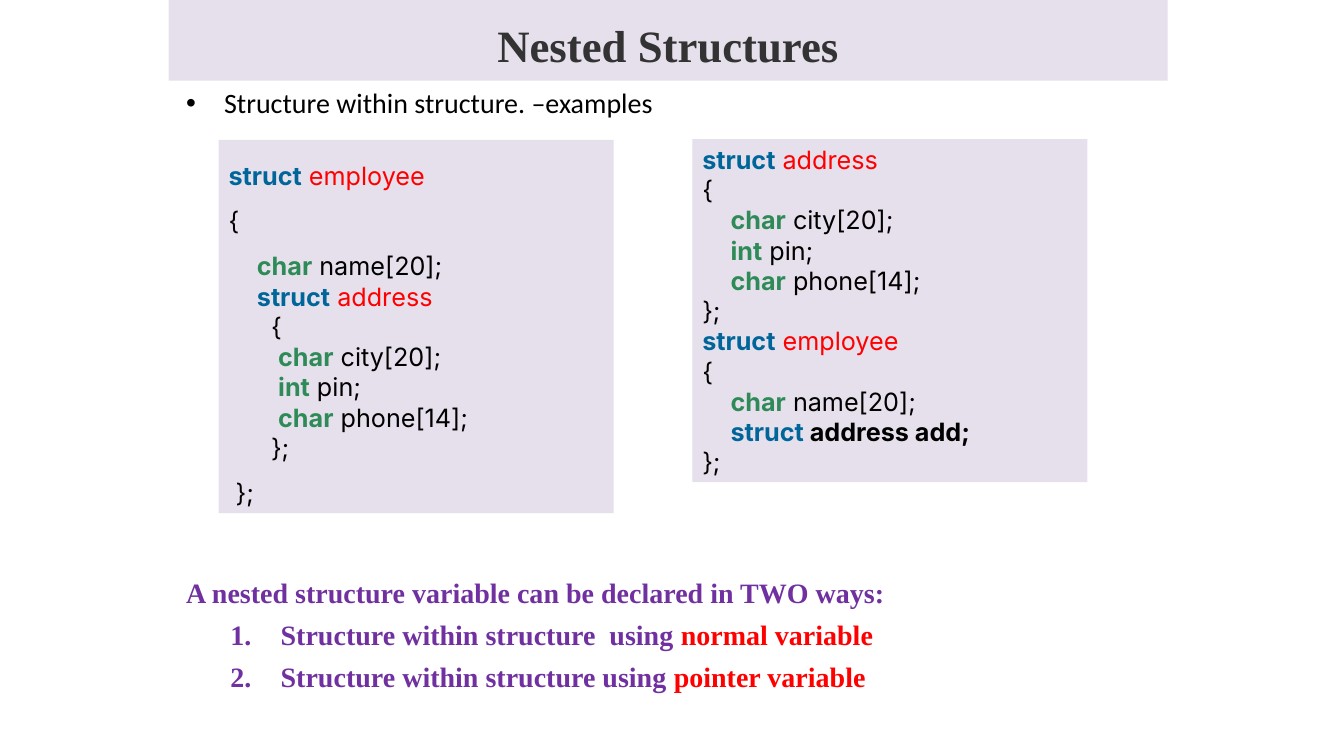
from lxml.etree import SubElement
from pptx import Presentation
from pptx.dml.color import RGBColor
from pptx.enum.shapes import MSO_SHAPE
from pptx.enum.text import MSO_ANCHOR, PP_ALIGN
from pptx.oxml.ns import qn
from pptx.util import Pt

LILAC = RGBColor(0xE6, 0xE0, 0xEC)
CHARCOAL = RGBColor(0x33, 0x33, 0x33)
BLACK = RGBColor(0x00, 0x00, 0x00)
RED = RGBColor(0xFF, 0x00, 0x00)
PURPLE = RGBColor(0x70, 0x30, 0xA0)
BLUE = RGBColor(0x00, 0x66, 0x99)
GREEN = RGBColor(0x2E, 0x8B, 0x57)

TITLE = {"name": "Times New Roman", "size": Pt(32), "bold": True}
INTRO = {"name": "Calibri", "size": Pt(20), "bold": False}
NOTE = {"name": "Times New Roman", "size": Pt(20), "bold": True}
CODE = {"name": "Inter", "size": Pt(18), "bold": False}
KEYWORDS = {"struct": BLUE, "char": GREEN, "int": GREEN}

# Each code line with its line spacing
EMPLOYEE_INLINE = [
    ("struct employee", 1.5),
    ("{", 1.5),
    ("    char name[20];", 1.5),
    ("    struct address", 1),
    ("      {", 1),
    ("       char city[20];", 1),
    ("       int pin;", 1),
    ("       char phone[14];", 1),
    ("      };", 1),
    (" };", 1.5),
]
ADDRESS_SEPARATE = [(line, 1) for line in (
    "struct address",
    "{",
    "    char city[20];",
    "    int pin;",
    "    char phone[14];",
    "};",
    "struct employee",
    "{",
    "    char name[20];",
    "    struct address add;",
    "};",
)]


def add_run(p, text, style, color, **changes):
    r = p.add_run()
    r.text = text
    for key, value in {**style, **changes}.items():
        setattr(r.font, key, value)
    r.font.color.rgb = color


def next_paragraph(tf):
    return tf.paragraphs[0] if not tf.paragraphs[0].runs else tf.add_paragraph()


def add_panel(s, left, top, width, height, anchor):
    sp = s.shapes.add_shape(MSO_SHAPE.RECTANGLE, Pt(left), Pt(top), Pt(width), Pt(height))
    sp.shadow.inherit = False
    sp.fill.solid()
    sp.fill.fore_color.rgb = LILAC
    sp.line.fill.background()
    sp.text_frame.vertical_anchor = anchor
    return sp.text_frame


def add_text_box(s, left, top, width, height):
    tf = s.shapes.add_textbox(Pt(left), Pt(top), Pt(width), Pt(height)).text_frame
    tf.word_wrap = True
    return tf


def set_bullet(p, margin, hanging, color, tag, **attributes):
    pPr = p._p.get_or_add_pPr()
    pPr.set("marL", str(Pt(margin)))
    pPr.set("indent", str(-Pt(hanging)))
    clr = SubElement(pPr, qn("a:buClr"))
    SubElement(clr, qn("a:srgbClr"), val=str(color))
    SubElement(pPr, qn("a:buFont"), typeface="+mj-lt" if tag == "a:buAutoNum" else "Arial")
    SubElement(pPr, qn(tag), **attributes)


def add_code(s, left, top, width, height, lines):
    tf = add_panel(s, left, top, width, height, MSO_ANCHOR.TOP)
    for line, spacing in lines:
        p = next_paragraph(tf)
        p.alignment = PP_ALIGN.LEFT
        p.line_spacing = spacing
        keyword = next((k for k in KEYWORDS if line.lstrip().startswith(k)), None)
        if keyword is None:
            add_run(p, line, CODE, BLACK)
            continue
        indent, _, rest = line.partition(keyword)
        if indent:
            add_run(p, indent, CODE, BLACK)
        add_run(p, keyword, CODE, KEYWORDS[keyword], bold=True)
        # A struct tag is red; a struct member is bold black
        is_struct, is_member = keyword == "struct", rest.endswith(";")
        add_run(p, rest, CODE, RED if is_struct and not is_member else BLACK,
                bold=is_struct and is_member)


def add_ways(s):
    tf = add_text_box(s, 126, 407.5, 708, 94)
    add_run(next_paragraph(tf), "A nested structure variable can be declared in TWO ways:", NOTE, PURPLE)
    for text, variable in (
        ("Structure within structure  using ", "normal variable"),
        ("Structure within structure using ", "pointer variable"),
    ):
        p = next_paragraph(tf)
        p.space_before = Pt(6)
        set_bullet(p, 67.5, 36, PURPLE, "a:buAutoNum", type="arabicPeriod")
        add_run(p, text, NOTE, PURPLE)
        add_run(p, variable, NOTE, RED)


def main():
    prs = Presentation()
    prs.slide_width, prs.slide_height = Pt(960.5), Pt(540)
    s = prs.slides.add_slide(prs.slide_layouts[6])

    # Title band
    p = add_panel(s, 120.5, 0, 714, 57.6, MSO_ANCHOR.MIDDLE).paragraphs[0]
    p.alignment = PP_ALIGN.CENTER
    p.line_spacing = 1.15
    add_run(p, "Nested Structures", TITLE, CHARCOAL)

    # Introduction
    p = add_text_box(s, 126, 57.6, 708, 32).paragraphs[0]
    set_bullet(p, 27, 27, BLACK, "a:buChar", char="•")
    add_run(p, "Structure within structure. –examples", INTRO, BLACK)

    # Code examples
    add_code(s, 494.8, 99.4, 282.3, 245, ADDRESS_SEPARATE)
    add_code(s, 156.3, 100, 282.3, 266.5, EMPLOYEE_INLINE)

    # Ways to declare
    add_ways(s)

    prs.save("out.pptx")


if __name__ == "__main__":
    main()
